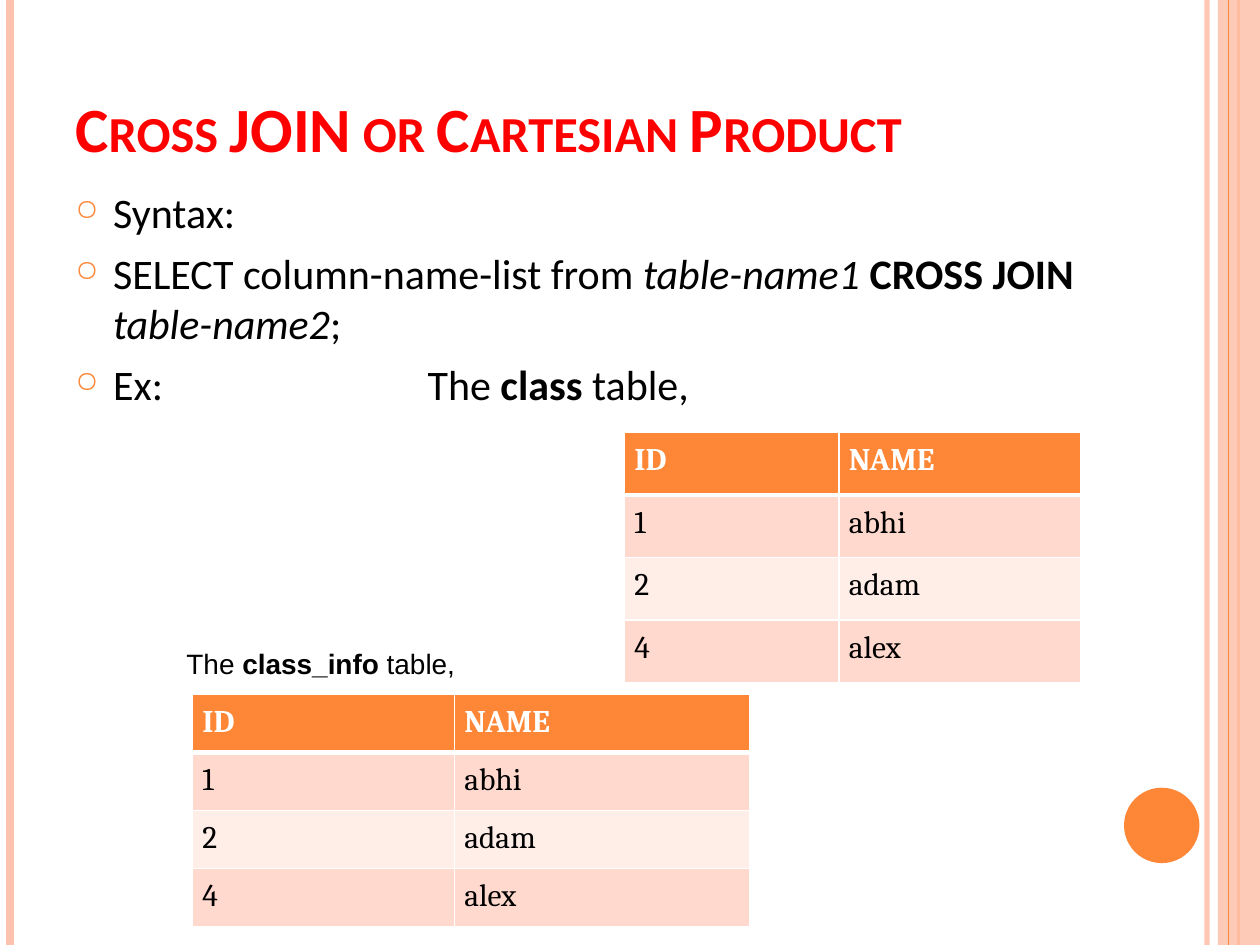
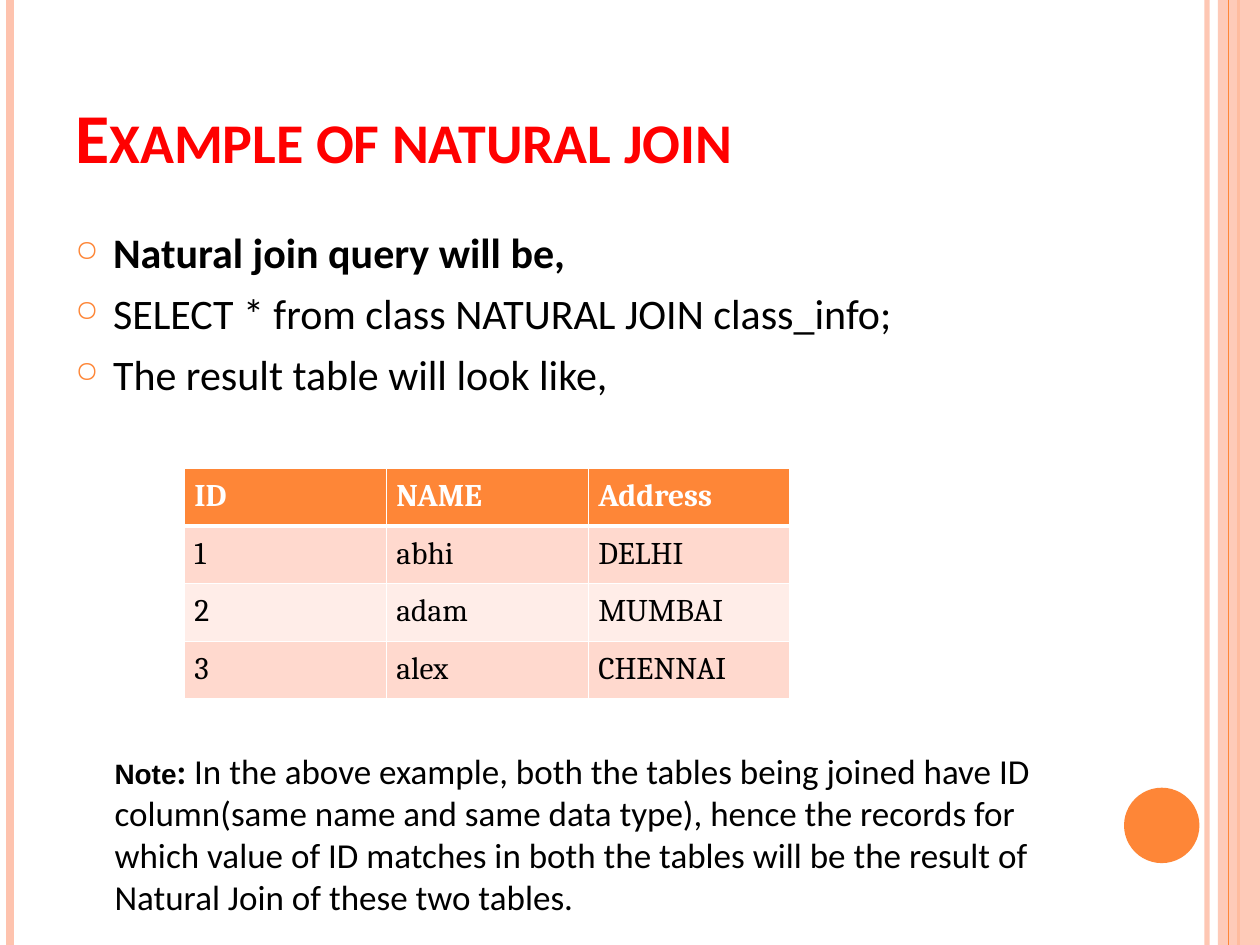
"""Build two slides on SQL cross joins and natural joins."""
from dataclasses import dataclass

from lxml import etree
from pptx import Presentation
from pptx import util as u
from pptx.dml.color import RGBColor
from pptx.enum import shapes, text
from pptx.oxml import ns

HUES = {
    "accent": "FE8637", "pale": "FEC3AE", "title": "FF0000", "ink": "000000",
    "white": "FFFFFF", "odd": "FFD9CE", "even": "FFEDE8",
}
WIDE, HIGH = 25.4, 19.05
PAD = 0.2
HANG = 0.76
TAB = 7.1


@dataclass
class Box:
    left: float
    top: float
    width: float
    height: float

    def cm(self) -> list:
        return [u.Cm(v) for v in (self.left, self.top, self.width, self.height)]


@dataclass
class Span:
    words: str
    bold: bool = False
    slant: bool = False
    size: int = 24
    font: str = "Calibri"
    hue: str = "ink"


@dataclass
class Rule:
    x: float
    width: float
    hue: str
    alpha: int = 100


@dataclass
class Grid:
    left: float
    top: float
    cols: list[float]
    row: float
    cells: list[list[str]]


BACK = [Rule(24.33, 3, "pale", 93), Rule(0.21, 4.5, "pale"), Rule(24.97, 1.5, "accent")]
FRONT = Rule(24.76, 0.75, "accent")
BAND = Box(24.55, 0, 0.85, HIGH)
DISC = Box(22.66, 15.88, 1.52, 1.52)
NAMES = [["ID", "NAME"], ["1", "abhi"], ["2", "adam"], ["4", "alex"]]


def rgb(hue: str) -> RGBColor:
    return RGBColor.from_string(HUES[hue])


def node(up, tag: str, **attrs: str):
    return etree.SubElement(up, ns.qn(tag), **attrs)


def fade(shape, alpha: int) -> None:
    if alpha < 100:
        for tint in list(shape.element.iter(ns.qn("a:srgbClr"))):
            node(tint, "a:alpha", val=str(alpha * 1000))


def add_rule(slide, rule: Rule) -> None:
    x = u.Cm(rule.x)
    line = slide.shapes.add_connector(shapes.MSO_CONNECTOR.STRAIGHT, x, 0, x, u.Cm(HIGH))
    line.line.color.rgb = rgb(rule.hue)
    line.line.width = u.Pt(rule.width)
    fade(line, rule.alpha)
    node(line.element.spPr, "a:effectLst")


def add_solid(slide, kind, box: Box, hue: str, alpha: int = 100) -> None:
    shape = slide.shapes.add_shape(kind, *box.cm())
    shape.shadow.inherit = False
    shape.fill.solid()
    shape.fill.fore_color.rgb = rgb(hue)
    shape.line.fill.background()
    fade(shape, alpha)


def add_run(para, span: Span):
    run = para.add_run()
    run.text = span.words
    font = run.font
    font.name, font.size = span.font, u.Pt(span.size)
    font.bold, font.italic = span.bold, span.slant
    font.color.rgb = rgb(span.hue)
    return run


def add_text(slide, box: Box, paras: list[list[Span]]):
    frame = slide.shapes.add_textbox(*box.cm()).text_frame
    frame.word_wrap = True
    for i, spans in enumerate(paras):
        para = frame.add_paragraph() if i else frame.paragraphs[0]
        for span in spans:
            add_run(para, span)
    return frame


def add_title(slide, words: str, size: int, height: float) -> None:
    span = Span(words, bold=True, size=size, hue="title")
    frame = add_text(slide, Box(1.27, 0.76, 20.75, height), [[span]])
    frame.vertical_anchor = text.MSO_ANCHOR.BOTTOM
    frame.paragraphs[0].runs[0].font._element.set("cap", "small")


def add_list(slide, box: Box, paras: list[list[Span]]) -> None:
    for para in add_text(slide, box, paras).paragraphs:
        para.space_before = u.Pt(6)
        props = para._p.get_or_add_pPr()
        props.set("marL", str(u.Cm(HANG)))
        props.set("indent", str(-u.Cm(HANG)))
        node(node(props, "a:buClr"), "a:srgbClr", val=HUES["accent"])
        node(props, "a:buSzPct", val="70000")
        node(props, "a:buChar", char="○")
        if any("\t" in run.text for run in para.runs):
            node(node(props, "a:tabLst"), "a:tab", pos=str(u.Cm(TAB)), algn="l")


def add_edges(cell, head: bool) -> None:
    props = cell._tc.get_or_add_tcPr()
    for i, side in enumerate("LRTB"):
        width = u.Pt(3 if head and side == "B" else 1)
        edge = node(props, f"a:ln{side}", w=str(width))
        node(node(edge, "a:solidFill"), "a:srgbClr", val=HUES["white"])
        props.insert(i, edge)


def add_grid(slide, grid: Grid) -> None:
    count = len(grid.cells)
    box = Box(grid.left, grid.top, sum(grid.cols), grid.row * count)
    table = slide.shapes.add_table(count, len(grid.cols), *box.cm()).table
    table.first_row = table.horz_banding = False
    for col, width in zip(table.columns, grid.cols):
        col.width = u.Cm(width)
    for r, words in enumerate(grid.cells):
        table.rows[r].height = u.Cm(grid.row)
        head = r == 0
        fill = "accent" if head else "odd" if r % 2 else "even"
        for c, word in enumerate(words):
            cell = table.cell(r, c)
            cell.margin_left = cell.margin_right = u.Cm(PAD)
            cell.margin_top = cell.margin_bottom = u.Cm(PAD)
            cell.fill.solid()
            cell.fill.fore_color.rgb = rgb(fill)
            add_edges(cell, head)
            hue = "white" if head else "ink"
            add_run(cell.text_frame.paragraphs[0], Span(word, head, False, 18, "Cambria", hue))


def add_slide(deck):
    slide = deck.slides.add_slide(deck.slide_layouts[6])
    for rule in BACK:
        add_rule(slide, rule)
    add_solid(slide, shapes.MSO_SHAPE.RECTANGLE, BAND, "pale", 87)
    add_rule(slide, FRONT)
    add_solid(slide, shapes.MSO_SHAPE.OVAL, DISC, "accent")
    return slide


def add_cross(deck) -> None:
    slide = add_slide(deck)
    add_title(slide, "Cross JOIN or Cartesian Product", 36, 2.69)
    add_list(slide, Box(1.27, 3.63, 21.79, 14.81), [
        [Span("Syntax:")],
        [Span("SELECT column-name-list from "), Span("table-name1 ", slant=True),
         Span("CROSS JOIN ", bold=True), Span("table-name2", slant=True), Span(";")],
        [Span("Ex:\tThe "), Span("class", bold=True), Span(" table,")],
    ])
    add_grid(slide, Grid(12.59, 8.72, [4.32, 4.88], 1.26, NAMES))
    add_text(slide, Box(3.51, 12.9, 6.53, 0.94), [[
        Span(words, bold, size=16, font="Arial")
        for words, bold in (("The ", False), ("class_info", True), (" table,", False))
    ]])
    add_grid(slide, Grid(3.88, 14, [5.28, 5.95], 1.17, NAMES))


def add_natural(deck) -> None:
    slide = add_slide(deck)
    add_title(slide, "Example of natural join", 40, 2.95)
    add_list(slide, Box(1.27, 4.45, 20.75, 13.54), [
        [Span("Natural join query will be,", bold=True)],
        [Span("SELECT * from class NATURAL JOIN class_info;")],
        [Span("The result table will look like,")],
    ])
    add_grid(slide, Grid(3.72, 9.44, [4.07] * 3, 1.15, [
        ["ID", "NAME", "Address"], ["1", "abhi", "DELHI"],
        ["2", "adam", "MUMBAI"], ["3", "alex", "CHENNAI"],
    ]))
    add_text(slide, Box(2.06, 14.99, 19.84, 3.68), [[
        Span("Note", bold=True, size=16, font="Arial"),
        Span(":", bold=True, size=20),
        Span(" In the above example, both the tables being joined have ID column"
             "(same name and same data type), hence the records for which value of ID "
             "matches in both the tables will be the result of Natural Join of these "
             "two tables.", size=20),
    ]])


def main() -> None:
    deck = Presentation()
    deck.slide_width, deck.slide_height = u.Cm(WIDE), u.Cm(HIGH)
    add_cross(deck)
    add_natural(deck)
    deck.save("out.pptx")


if __name__ == "__main__":
    main()
